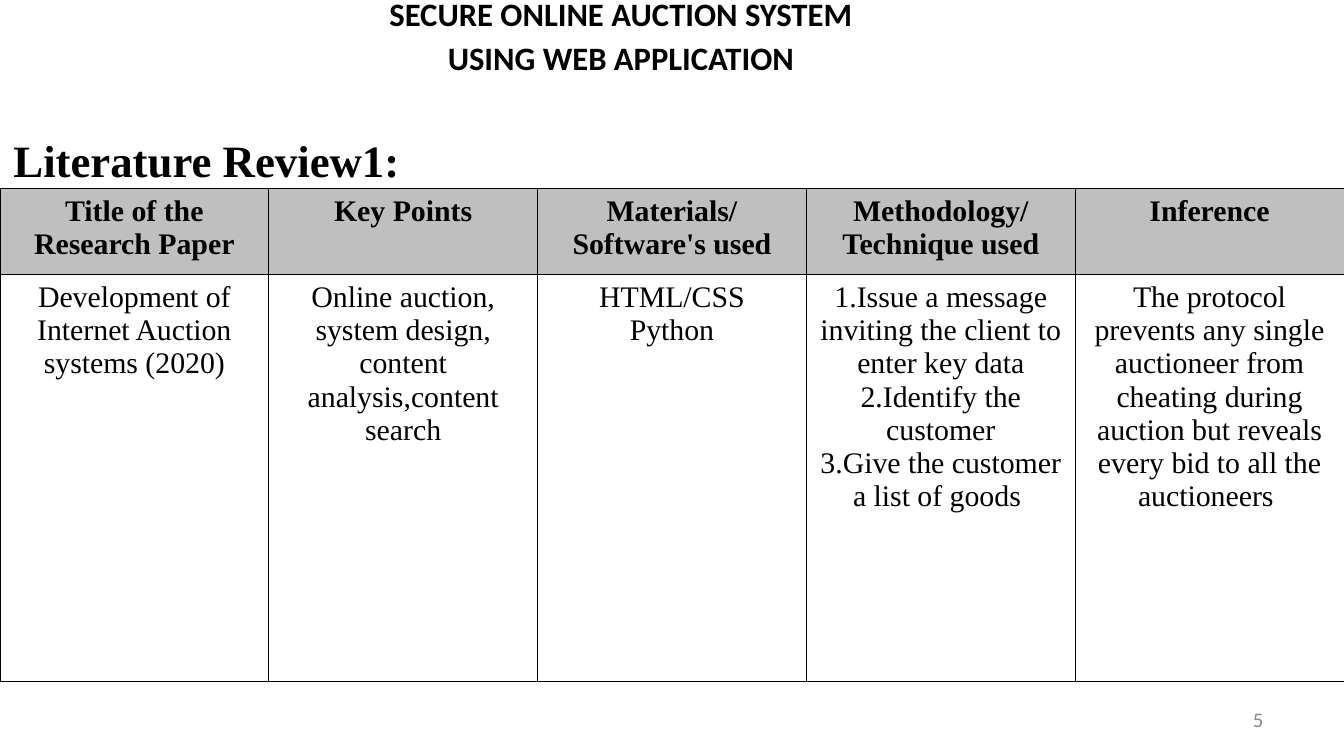
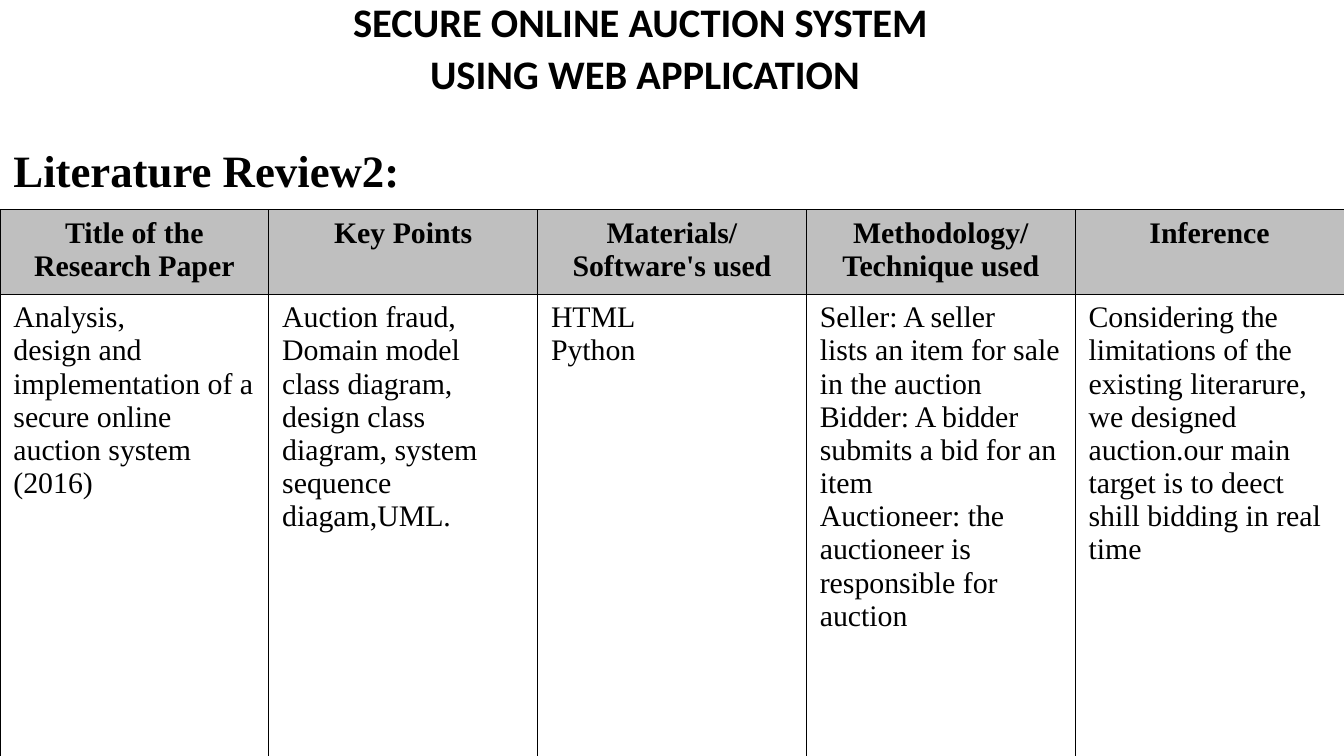
from lxml.etree import SubElement
from pptx import Presentation
from pptx.dml.color import RGBColor
from pptx.enum.text import MSO_ANCHOR, MSO_AUTO_SIZE, PP_ALIGN
from pptx.oxml.ns import qn
from pptx.util import Inches, Pt

BLACK, WHITE, HEADER_GRAY, NUMBER_GRAY = "000000", "FFFFFF", "BFBFBF", "898989"
HEADING_FONT, BANNER_FONT = "Times New Roman", "Calibri"
BORDER_WIDTH = Pt(0.45)
TITLE_ONLY_LAYOUT = 5
SLIDE_WIDTH = 10

COLUMN_HEADERS = [
    "Title of the Research Paper",
    "Key Points",
    "Materials/ Software's used",
    "Methodology/ Technique used",
    "Inference",
]

REVIEWS = [
    {
        "banner": ["SECURE ONLINE AUCTION SYSTEM ", "USING WEB APPLICATION "],
        "banner_box": (-0.35, -0.04, 10, 0.83),
        "banner_size": 17.5,
        "heading": "Literature Review1:",
        "heading_box": (0, 0.94, 10, 0.55),
        "table_box": (0, 1.4, 10, 3.67),
        "header_height": 0.64,
        "alignment": PP_ALIGN.CENTER,
        "findings": [
            ["Development of Internet Auction systems (2020)"],
            ["Online auction, system design, content analysis,content search"],
            ["HTML/CSS", "Python"],
            [
                "1.Issue a message inviting the client to enter key data",
                "2.Identify the customer",
                "3.Give the customer a list of goods ",
            ],
            [
                "The protocol prevents any single auctioneer from cheating during "
                "auction but reveals every bid to all the auctioneers "
            ],
        ],
        "page": "5",
    },
    {
        "banner": ["SECURE ONLINE AUCTION SYSTEM ", "USING WEB APPLICATION"],
        "banner_box": (-0.2, 0, 10, 0.94),
        "banner_size": 21.7,
        "heading": "Literature Review2:",
        "heading_box": (0, 1.01, 10, 0.55),
        "table_box": (0, 1.56, 10, 4.47),
        "header_height": 0.63,
        "alignment": PP_ALIGN.LEFT,
        "findings": [
            [
                "Analysis,",
                "design and implementation of a secure online auction system (2016)",
            ],
            [
                "Auction fraud, Domain model class diagram, design class diagram, "
                "system sequence diagam,UML."
            ],
            ["HTML", "Python"],
            [
                "Seller: A seller",
                "lists an item for sale in the auction",
                "Bidder: A bidder submits a bid for an item",
                "Auctioneer: the auctioneer is responsible for auction",
            ],
            [
                "Considering the limitations of the existing literarure, we designed "
                "auction.our main target is to deect shill bidding in real time"
            ],
        ],
        "page": None,
    },
]


def color(hex_code):
    """Turn a hex string into a colour."""
    return RGBColor.from_string(hex_code)


def write(frame, lines, font, size, alignment, bold=False, hex_code=BLACK,
          line_spacing=None, gap=0):
    """Fill a text frame with one formatted paragraph per line."""
    frame.word_wrap = True
    for index, line in enumerate(lines):
        paragraph = frame.paragraphs[0] if index == 0 else frame.add_paragraph()
        paragraph.alignment = alignment
        paragraph.line_spacing = line_spacing
        paragraph.space_before = Pt(gap if index else 0)
        run = paragraph.add_run()
        run.text = line
        run.font.name = font
        run.font.size = Pt(size)
        run.font.bold = bold
        run.font.color.rgb = color(hex_code)


def add_heading(slide, box, heading):
    """Place the review heading in the title placeholder."""
    title = slide.shapes.title
    title.left, title.top, title.width, title.height = map(Inches, box)
    frame = title.text_frame
    frame.auto_size = MSO_AUTO_SIZE.NONE
    frame.vertical_anchor = MSO_ANCHOR.TOP
    write(frame, [heading], HEADING_FONT, 24, PP_ALIGN.LEFT, bold=True)


def add_banner(slide, box, lines, size):
    """Write the project name across the top."""
    banner = slide.shapes.add_textbox(*map(Inches, box))
    write(banner.text_frame, lines, BANNER_FONT, size, PP_ALIGN.CENTER,
          bold=True, line_spacing=0.8, gap=7)


def add_page_number(slide, box, page):
    """Write the page number at the lower right."""
    number = slide.shapes.add_textbox(*map(Inches, box))
    number.text_frame.vertical_anchor = MSO_ANCHOR.MIDDLE
    write(number.text_frame, [page], BANNER_FONT, 11.1, PP_ALIGN.RIGHT,
          hex_code=NUMBER_GRAY, line_spacing=0.9)


def style_cell(cell, fill):
    """Give a cell thin black borders and a solid fill."""
    properties = cell._tc.get_or_add_tcPr()
    for side in ("a:lnL", "a:lnR", "a:lnT", "a:lnB"):
        border = SubElement(properties, qn(side), w=str(int(BORDER_WIDTH)))
        line_fill = SubElement(border, qn("a:solidFill"))
        SubElement(line_fill, qn("a:srgbClr"), val=BLACK)
    cell.fill.solid()
    cell.fill.fore_color.rgb = color(fill)


def add_review_table(slide, box, header_height, findings, alignment):
    """Lay out the column headers above the findings of one paper."""
    table = slide.shapes.add_table(2, len(COLUMN_HEADERS), *map(Inches, box)).table
    table.horz_banding = False
    table.rows[0].height = Inches(header_height)
    table.rows[1].height = Inches(box[3] - header_height)
    for column, (header, finding) in enumerate(zip(COLUMN_HEADERS, findings)):
        header_cell, finding_cell = table.cell(0, column), table.cell(1, column)
        style_cell(header_cell, HEADER_GRAY)
        style_cell(finding_cell, WHITE)
        write(header_cell.text_frame, [header], HEADING_FONT, 16,
              PP_ALIGN.CENTER, bold=True)
        write(finding_cell.text_frame, finding, HEADING_FONT, 16, alignment)


def add_review_slide(presentation, review):
    """Build one literature review slide."""
    layout = presentation.slide_layouts[TITLE_ONLY_LAYOUT]
    slide = presentation.slides.add_slide(layout)
    add_heading(slide, review["heading_box"], review["heading"])
    if review["page"]:
        add_page_number(slide, (7.17, 5.21, 2.33, 0.3), review["page"])
    add_review_table(slide, review["table_box"], review["header_height"],
                     review["findings"], review["alignment"])
    add_banner(slide, review["banner_box"], review["banner"], review["banner_size"])


def main():
    """Build and save the presentation."""
    presentation = Presentation()
    presentation.slide_width = Inches(SLIDE_WIDTH)
    presentation.slide_height = Inches(SLIDE_WIDTH * 9 / 16)
    for review in REVIEWS:
        add_review_slide(presentation, review)
    presentation.save("out.pptx")


if __name__ == "__main__":
    main()
